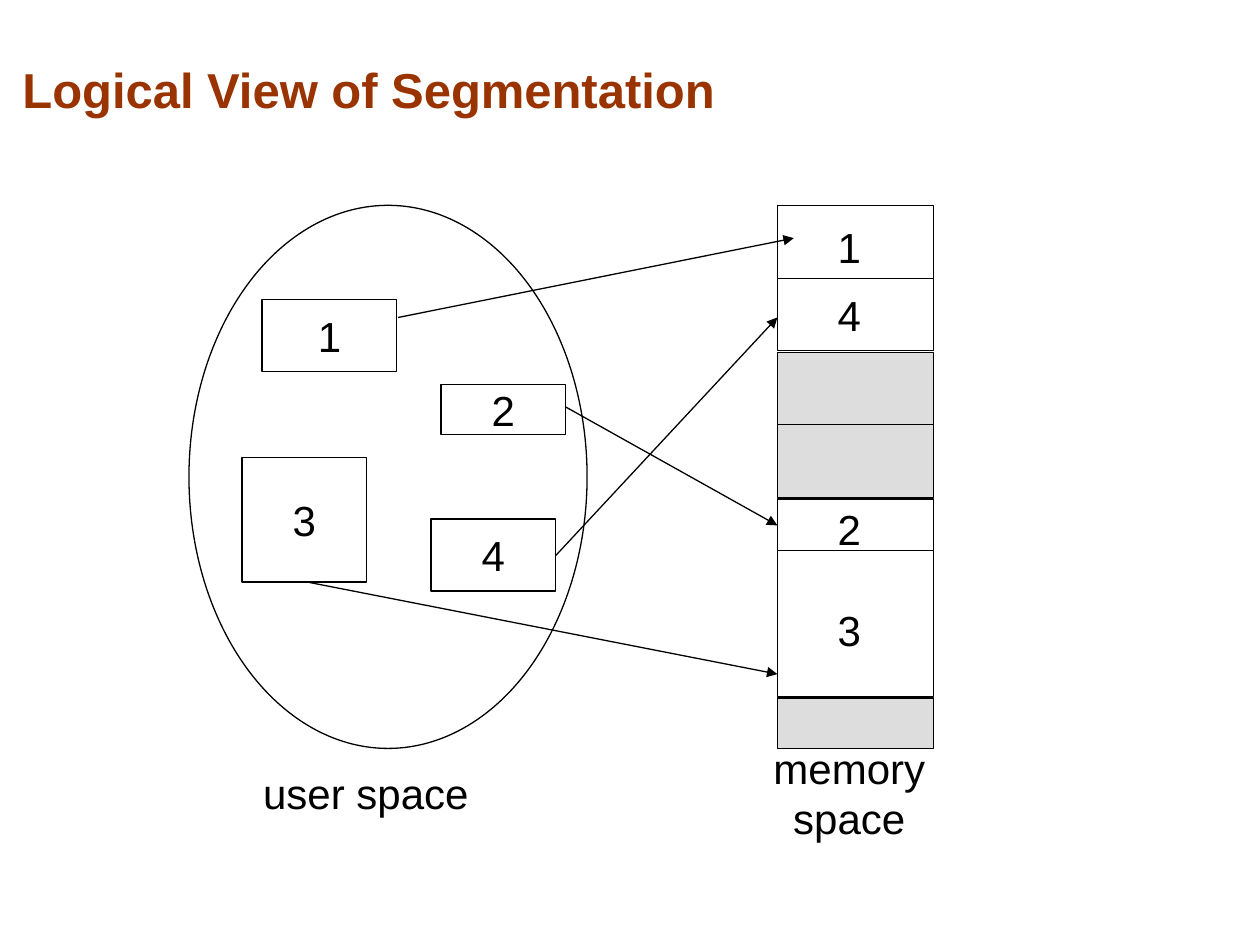
import pptx
import pptx.util
import pptx.dml.color
import pptx.enum.shapes
import pptx.enum.text
import pptx.oxml.ns
import lxml.etree

Inches = pptx.util.Inches
Kind = pptx.enum.shapes.MSO_SHAPE
Anchor = pptx.enum.text.MSO_ANCHOR
Align = pptx.enum.text.PP_ALIGN
color = pptx.dml.color.RGBColor.from_string

deck = pptx.Presentation()
deck.slide_width, deck.slide_height = Inches(10), Inches(7.5)
page = deck.slides.add_slide(deck.slide_layouts[6])


def add_text(text, left, top, width, height, kind=None, fill="FFFFFF", size=24,
             ink="000000", bold=False, align=Align.CENTER, anchor=Anchor.MIDDLE,
             wrap=False, spacing=1.0):
    """Add a text box, or an outlined shape when a kind is given."""
    place = [Inches(length) for length in (left, top, width, height)]
    if kind is None:
        box = page.shapes.add_textbox(*place)
    else:
        box = page.shapes.add_shape(kind, *place)
        box.shadow.inherit = False
        box.fill.solid()
        box.fill.fore_color.rgb = color(fill)
        box.line.color.rgb = color("000000")
        box.line.width = pptx.util.Pt(0.75)
    if text:
        box.text_frame.word_wrap = wrap
        box.text_frame.vertical_anchor = anchor
        para = box.text_frame.paragraphs[0]
        para.alignment = align
        para.line_spacing = spacing
        span = para.add_run()
        span.text = text
        span.font.name = "Arial"
        span.font.size = pptx.util.Pt(size)
        span.font.bold = bold
        span.font.color.rgb = color(ink)


def add_line(start_x, start_y, end_x, end_y, arrow=False):
    line = page.shapes.add_connector(
        pptx.enum.shapes.MSO_CONNECTOR.STRAIGHT,
        Inches(start_x), Inches(start_y), Inches(end_x), Inches(end_y))
    line.line.color.rgb = color("000000")
    line.line.width = pptx.util.Pt(0.75)
    if arrow:
        outline = line.line._get_or_add_ln()
        lxml.etree.SubElement(outline, pptx.oxml.ns.qn("a:tailEnd"), type="triangle")
    properties = line._element.spPr
    lxml.etree.SubElement(properties, pptx.oxml.ns.qn("a:effectLst"))


# Title
add_text("Logical View of Segmentation", 0.08, 0, 8.16, 1, size=28, ink="993300",
         bold=True, align=Align.LEFT, anchor=Anchor.BOTTOM, wrap=True, spacing=0.93)

# User space with its segments
add_text("", 1.5, 1.63, 3.16, 4.31, kind=Kind.OVAL)
for number, left, top, width, height in [
    ("1", 2.08, 2.38, 1.07, 0.57),
    ("3", 1.92, 3.63, 0.99, 0.99),
    ("2", 3.5, 3.05, 0.99, 0.4),
    ("4", 3.42, 4.12, 0.99, 0.57),
]:
    add_text(number, left, top, width, height, kind=Kind.RECTANGLE)

# Memory blocks, free ones in grey, with dividers
memory_left, memory_width = 6.17, 1.24
for top, height, fill in [
    (1.63, 1.15, "FFFFFF"),
    (2.8, 1.15, "DDDDDD"),
    (3.96, 1.57, "FFFFFF"),
    (5.54, 0.4, "DDDDDD"),
]:
    add_text("", memory_left, top, memory_width, height, kind=Kind.RECTANGLE, fill=fill)
for divider in (2.21, 3.37, 4.37):
    add_line(memory_left, divider, memory_left + memory_width, divider)
for number, top in [("1", 1.71), ("4", 2.25), ("2", 3.95), ("3", 4.75)]:
    add_text(number, 6.55, top, 0.38, 0.5)

# Captions
add_text("user space ", 1.99, 6.04, 1.92, 0.5)
add_text("memory space", 5.55, 6.04, 2.38, 0.5)

# Arrows from segments to memory
for start_x, start_y, end_x, end_y in [
    (3.16, 2.52, 6.3, 1.89),
    (4.49, 3.23, memory_left, 4.17),
    (2.44, 4.62, memory_left, 5.35),
    (4.41, 4.41, memory_left, 2.52),
]:
    add_line(start_x, start_y, end_x, end_y, arrow=True)

deck.save("out.pptx")
